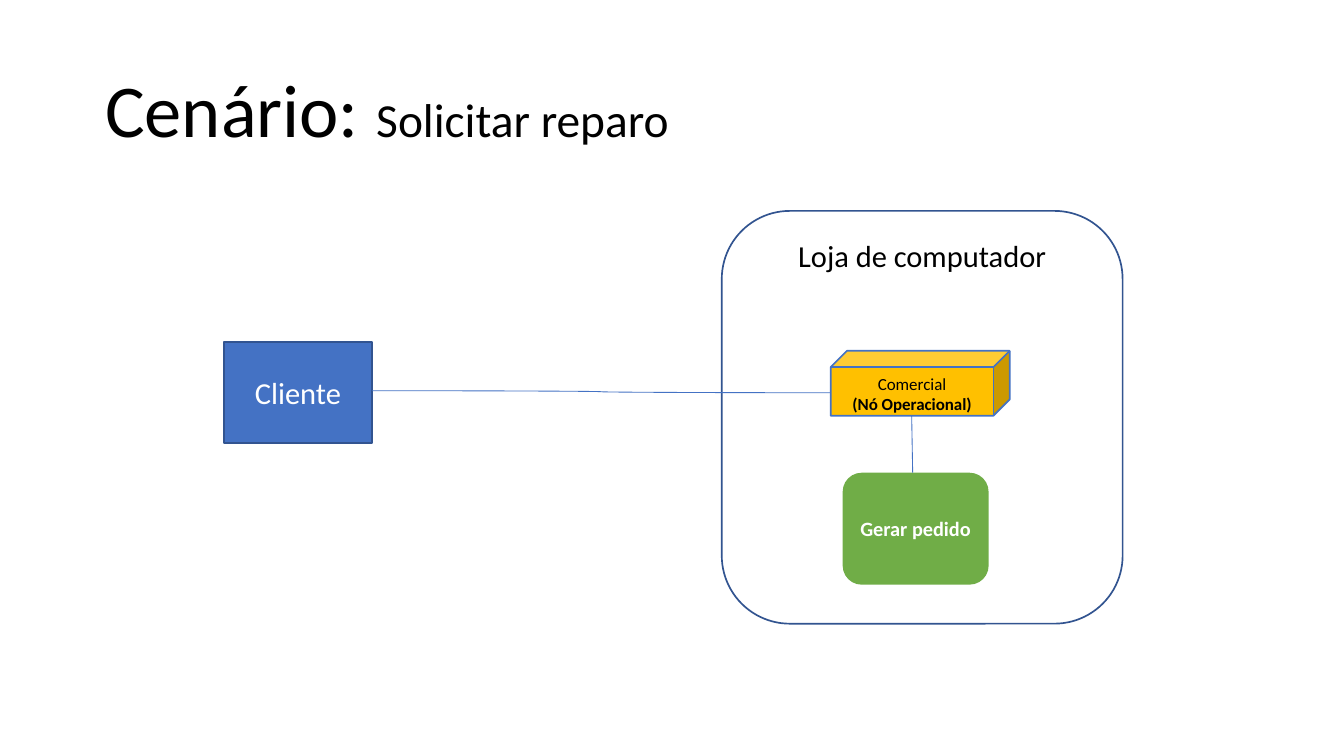
import pptx
import pptx.util
import pptx.dml.color
import pptx.enum.shapes
import pptx.enum.text
import pptx.oxml.ns
import lxml.etree

RGBColor = pptx.dml.color.RGBColor
Pt = pptx.util.Pt
SHAPE = pptx.enum.shapes.MSO_SHAPE
CONNECTOR = pptx.enum.shapes.MSO_CONNECTOR
ANCHOR = pptx.enum.text.MSO_ANCHOR
ALIGN = pptx.enum.text.PP_ALIGN

BLACK = RGBColor(0x00, 0x00, 0x00)
WHITE = RGBColor(0xFF, 0xFF, 0xFF)
BLUE = RGBColor(0x44, 0x72, 0xC4)
DARK_BLUE = RGBColor(0x32, 0x54, 0x90)
GOLD = RGBColor(0xFF, 0xC0, 0x00)
GREEN = RGBColor(0x70, 0xAD, 0x47)
FONT = "Calibri"
PIXEL = pptx.util.Inches(1) / 122

# Content: title runs, nodes and links, with lengths in pixels
TITLE_BOX = (93, 40, 1160, 147)
TITLE_RUNS = [("Cenário: ", 44), ("Solicitar reparo", 28)]

# kind, box, adjustment, fill, line, anchor, text size, text colour, (text, bold) lines
NODES = [
    (SHAPE.CUBE, (831, 351, 179, 65), 0.25, GOLD, BLUE, ANCHOR.TOP, 10, BLACK,
     [("Comercial", False), ("(Nó Operacional)", True)]),
    (SHAPE.ROUNDED_RECTANGLE, (843, 473, 146, 112), 0.17, GREEN, None, ANCHOR.MIDDLE, 12, WHITE,
     [("Gerar pedido", True)]),
    (SHAPE.RECTANGLE, (224, 342, 148, 101), None, BLUE, DARK_BLUE, ANCHOR.MIDDLE, 18, WHITE,
     [("Cliente", False)]),
    (SHAPE.ROUNDED_RECTANGLE, (722, 211, 401, 413), 0.17, None, DARK_BLUE, ANCHOR.TOP, 18, BLACK,
     [("Loja de computador", False)]),
]
LINKS = [
    (CONNECTOR.CURVE, (372, 391, 831, 393)),
    (CONNECTOR.STRAIGHT, (912, 416, 913, 473)),
]


def emu(lengths):
    return [round(length * PIXEL) for length in lengths]


def add_node(page, kind, box, adjustment, fill, line, anchor, size, colour, lines):
    shape = page.shapes.add_shape(kind, *emu(box))
    shape.shadow.inherit = False
    if adjustment is not None:
        shape.adjustments[0] = adjustment
    if fill is None:
        shape.fill.background()
    else:
        shape.fill.solid()
        shape.fill.fore_color.rgb = fill
    if line is None:
        shape.line.fill.background()
    else:
        shape.line.color.rgb = line
        shape.line.width = Pt(1)
    frame = shape.text_frame
    frame.word_wrap = True
    frame.vertical_anchor = anchor
    for index, (text, bold) in enumerate(lines):
        para = frame.add_paragraph() if index else frame.paragraphs[0]
        para.text = text
        para.alignment = ALIGN.CENTER
        para.font.name = FONT
        para.font.size = Pt(size)
        para.font.bold = bold
        para.font.color.rgb = colour


def add_link(page, kind, ends):
    link = page.shapes.add_connector(kind, *emu(ends))
    link.line.color.rgb = BLUE
    link.line.width = Pt(0.5)
    properties = link._element.spPr
    lxml.etree.SubElement(properties, pptx.oxml.ns.qn("a:effectLst"))


deck = pptx.Presentation()
deck.slide_width = pptx.util.Inches(11.02)
deck.slide_height = pptx.util.Inches(6.2)
page = deck.slides.add_slide(deck.slide_layouts[5])

# Title
title = page.shapes.title
title.left, title.top, title.width, title.height = emu(TITLE_BOX)
title.text_frame.auto_size = pptx.enum.text.MSO_AUTO_SIZE.NONE
title.text_frame.vertical_anchor = ANCHOR.MIDDLE
para = title.text_frame.paragraphs[0]
para.alignment = ALIGN.LEFT
para.line_spacing = 0.9
para.font.name = FONT
para.font.color.rgb = BLACK
for text, size in TITLE_RUNS:
    span = para.add_run()
    span.text = text
    span.font.size = Pt(size)

# Diagram
for node in NODES:
    add_node(page, *node)
for link in LINKS:
    add_link(page, *link)

deck.save("out.pptx")
